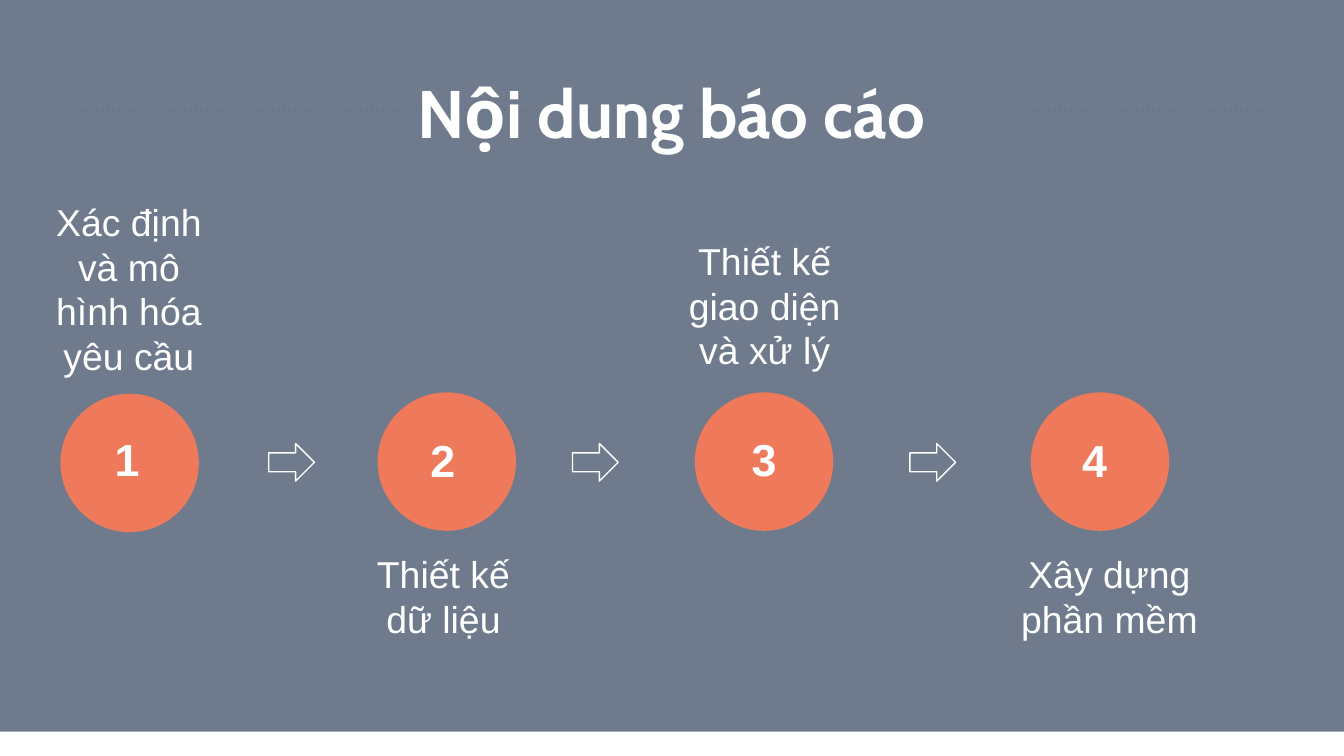
from dataclasses import dataclass

from lxml import etree
from pptx import Presentation
from pptx.dml.color import RGBColor
from pptx.enum.dml import MSO_LINE
from pptx.enum.shapes import MSO_CONNECTOR, MSO_SHAPE
from pptx.enum.text import MSO_ANCHOR, MSO_AUTO_SIZE, PP_ALIGN
from pptx.oxml.ns import qn
from pptx.util import Inches, Pt

RECTANGLE, OVAL, ARROW = MSO_SHAPE.RECTANGLE, MSO_SHAPE.OVAL, MSO_SHAPE.RIGHT_ARROW
STRAIGHT, DOTTED = MSO_CONNECTOR.STRAIGHT, MSO_LINE.ROUND_DOT
TOP, CENTER, NO_FIT = MSO_ANCHOR.TOP, PP_ALIGN.CENTER, MSO_AUTO_SIZE.NONE

WHITE, SLATE, CORAL, GRAY = "FFFFFF", "566579", "EE795B", "C6C5C5"
PAGE_WIDTH = 10
PAGE_HEIGHT = PAGE_WIDTH * 9 / 16
CIRCLE_SIZE = 1.03
NUMBER_WIDTH, NUMBER_HEIGHT = 0.63, 0.65
ARROW_TOP, ARROW_WIDTH, ARROW_HEIGHT = 3.3, 0.34, 0.28
ARROW_LEFTS = (2, 4.26, 6.77)


@dataclass
class Step:
    label: str
    circle_left: float
    circle_top: float
    number_left: float
    number_top: float
    label_left: float
    label_top: float
    label_width: float
    label_height: float


STEPS = (
    Step("Xác định và mô hình hóa yêu cầu", 0.45, 2.93, 0.63, 3.11, 0.26, 1.38, 1.4, 1.44),
    Step("Thiết kế dữ liệu", 2.81, 2.92, 2.98, 3.12, 2.6, 4, 1.4, 1.22),
    Step("Thiết kế giao diện và xử lý", 5.17, 2.92, 5.37, 3.11, 4.99, 1.67, 1.4, 1.44),
    Step("Xây dựng phần mềm", 7.67, 2.92, 7.83, 3.12, 7.45, 4, 1.61, 1.44),
)


def color(value: str) -> RGBColor:
    return RGBColor.from_string(value)


def write(box, text: str, size: float, font: str = "Arial", bold: bool = False) -> None:
    """Fill a box with one centred white paragraph."""
    frame = box.text_frame
    frame.word_wrap = True
    frame.auto_size = NO_FIT
    frame.vertical_anchor = TOP
    frame.margin_left = frame.margin_right = Inches(0.1)
    frame.margin_top = frame.margin_bottom = Inches(0.1)
    para = frame.paragraphs[0]
    para.alignment = CENTER
    para.line_spacing = 1.0
    span = para.add_run()
    span.text = text
    span.font.name = font
    span.font.size = Pt(size)
    span.font.bold = bold
    span.font.color.rgb = color(WHITE)


def add_filled(page, kind, left: float, top: float,
               width: float, height: float, fill: str):
    shape = page.shapes.add_shape(
        kind, Inches(left), Inches(top), Inches(width), Inches(height))
    shape.shadow.inherit = False
    shape.fill.solid()
    shape.fill.fore_color.rgb = color(fill)
    shape.line.fill.background()
    return shape


def add_arrow(page, left: float) -> None:
    arrow = page.shapes.add_shape(
        ARROW, Inches(left), Inches(ARROW_TOP), Inches(ARROW_WIDTH), Inches(ARROW_HEIGHT))
    arrow.shadow.inherit = False
    arrow.fill.background()
    arrow.line.color.rgb = color(WHITE)
    arrow.line.width = Pt(0.75)


def add_step(page, number: int, step: Step) -> None:
    add_filled(page, OVAL, step.circle_left, step.circle_top, CIRCLE_SIZE, CIRCLE_SIZE, CORAL)
    number_box = page.shapes.add_textbox(
        Inches(step.number_left), Inches(step.number_top),
        Inches(NUMBER_WIDTH), Inches(NUMBER_HEIGHT))
    write(number_box, str(number), 24, bold=True)
    label_box = page.shapes.add_textbox(
        Inches(step.label_left), Inches(step.label_top),
        Inches(step.label_width), Inches(step.label_height))
    write(label_box, step.label, 20)


def main() -> None:
    deck = Presentation()
    deck.slide_width, deck.slide_height = Inches(PAGE_WIDTH), Inches(PAGE_HEIGHT)
    page = deck.slides.add_slide(deck.slide_layouts[5])

    # Dotted rule under a translucent panel
    rule = page.shapes.add_connector(
        STRAIGHT, Inches(0.47), Inches(0.82), Inches(9.53), Inches(0.82))
    rule.line.color.rgb = color(GRAY)
    rule.line.width = Pt(0.75)
    rule.line.dash_style = DOTTED
    rule.element.spPr.find(".//" + qn("a:prstDash")).set("val", "dot")
    etree.SubElement(rule.element.spPr, qn("a:effectLst"))
    panel = add_filled(page, RECTANGLE, 0, -0.18, PAGE_WIDTH, PAGE_HEIGHT, SLATE)
    tint = panel.element.spPr.find(qn("a:solidFill"))[0]
    etree.SubElement(tint, qn("a:alpha"), val="85000")

    # Title, raised above the panel
    title = page.shapes.title
    title.left, title.top = Inches(1.92), Inches(0.43)
    title.width, title.height = Inches(6.15), Inches(1.37)
    write(title, "Nội dung báo cáo", 36, font="Cabin", bold=True)
    panel.element.addnext(title.element)

    # Numbered steps and the arrows between them
    for number, step in enumerate(STEPS, start=1):
        add_step(page, number, step)
    for left in ARROW_LEFTS:
        add_arrow(page, left)

    deck.save("out.pptx")


if __name__ == "__main__":
    main()
